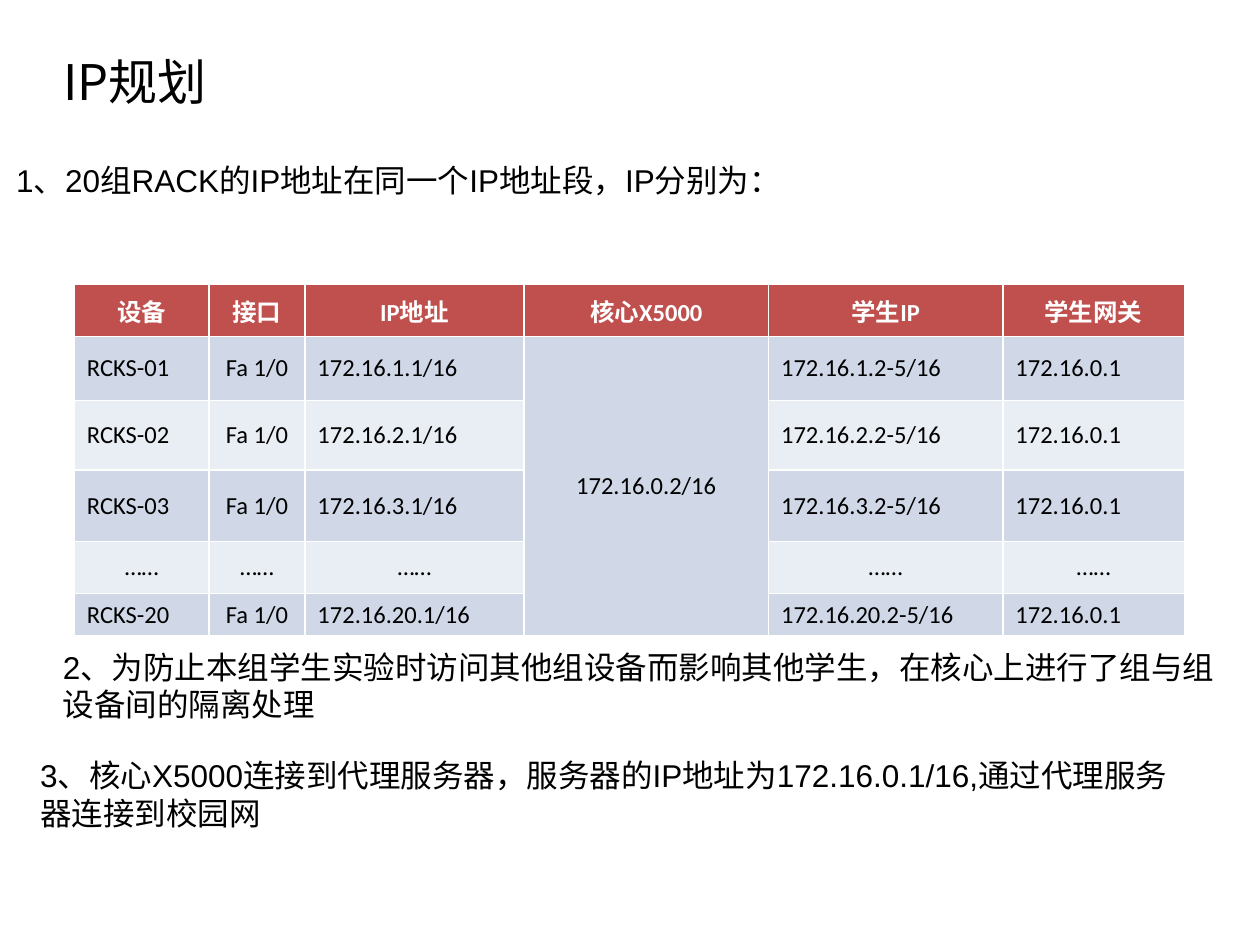
from dataclasses import dataclass

from pptx import Presentation
from pptx.dml.color import RGBColor as Rgb
from pptx.enum.text import MSO_ANCHOR as Anchor, MSO_AUTO_SIZE as Fit, PP_ALIGN as Align
from pptx.util import Inches, Pt


@dataclass(frozen=True)
class Theme:
    ink: str = "000000"
    white: str = "FFFFFF"
    head: str = "C0504D"
    bands: tuple = ("D0D8E8", "E9EDF4")
    title: tuple = ("Noto Sans CJK SC", 28)
    note: tuple = ("Arial", 18)
    cell: tuple = ("Calibri", 14)


THEME = Theme()

NOTES = [
    (0.03, 1.23, 6.93, "1、20组RACK的IP地址在同一个IP地址段，IP分别为："),
    (0.4, 5.09, 9.4,
     "2、为防止本组学生实验时访问其他组设备而影响其他学生，在核心上进行了组与组\n"
     "设备间的隔离处理"),
    (0.22, 5.95, 9.56,
     "3、核心X5000连接到代理服务器，服务器的IP地址为172.16.0.1/16,通过代理服务\n"
     "器连接到校园网"),
]

HEADS = ["设备", "接口", "IP地址", "核心X5000", "学生IP", "学生网关"]
WIDTHS = [1.07, 0.76, 1.74, 1.94, 1.86, 1.44]
HEIGHTS = [0.41, 0.51, 0.55, 0.57, 0.41, 0.34]
GROUPS = [1, 2, 3, None, 20]  # None marks the skipped groups
CORE = 3
MIDDLE = (1, CORE)  # centred columns
DOTS = "……"


def style(frame, face, color, align=Align.LEFT, bold=False):
    name, size = face
    for para in frame.paragraphs:
        para.alignment = align
        for run in para.runs:
            font = run.font
            font.name, font.size, font.bold = name, Pt(size), bold
            font.color.rgb = Rgb.from_string(color)


def set_title(slide, text):
    title = slide.shapes.title
    title.left, title.top = Inches(0.4), Inches(0.36)
    title.width, title.height = Inches(1.43), Inches(0.57)
    frame = title.text_frame
    frame.text = text
    frame.word_wrap = False
    frame.auto_size = Fit.SHAPE_TO_FIT_TEXT
    frame.vertical_anchor = Anchor.TOP
    style(frame, THEME.title, THEME.ink)


def add_note(slide, left, top, width, text):
    box = slide.shapes.add_textbox(
        Inches(left), Inches(top), Inches(width), Inches(0.7))
    frame = box.text_frame
    frame.text = text
    frame.word_wrap = False
    frame.auto_size = Fit.SHAPE_TO_FIT_TEXT
    style(frame, THEME.note, THEME.ink)


def group_row(num):
    if num is None:
        return [DOTS if col != CORE else "" for col in range(len(HEADS))]
    core = "172.16.0.2/16" if num == 1 else ""
    return [f"RCKS-{num:02}", "Fa 1/0", f"172.16.{num}.1/16", core,
            f"172.16.{num}.2-5/16", "172.16.0.1"]


def fill_cell(cell, text, fill, color, align, bold):
    cell.text_frame.text = text
    cell.vertical_anchor = Anchor.MIDDLE
    cell.fill.solid()
    cell.fill.fore_color.rgb = Rgb.from_string(fill)
    style(cell.text_frame, THEME.cell, color, align, bold)


def add_plan(slide):
    rows = [HEADS] + [group_row(num) for num in GROUPS]
    table = slide.shapes.add_table(
        len(rows), len(HEADS), Inches(0.59), Inches(2.26),
        Inches(sum(WIDTHS)), Inches(sum(HEIGHTS))).table
    for col, width in zip(table.columns, WIDTHS):
        col.width = Inches(width)
    for row, height in zip(table.rows, HEIGHTS):
        row.height = Inches(height)

    for r, row in enumerate(rows):
        head = r == 0
        fill = THEME.head if head else THEME.bands[(r - 1) % 2]
        color = THEME.white if head else THEME.ink
        for c, text in enumerate(row):
            mid = head or c in MIDDLE or text == DOTS
            align = Align.CENTER if mid else Align.LEFT
            fill_cell(table.cell(r, c), text, fill, color, align, head)

    # One core switch serves every group
    table.cell(1, CORE).merge(table.cell(len(rows) - 1, CORE))


def main():
    deck = Presentation()
    deck.slide_width, deck.slide_height = Inches(10), Inches(7.5)
    slide = deck.slides.add_slide(deck.slide_layouts[5])

    # Title and address table
    set_title(slide, "IP规划")
    add_plan(slide)

    # Numbered notes around the table
    for note in NOTES:
        add_note(slide, *note)

    deck.save("out.pptx")


if __name__ == "__main__":
    main()
